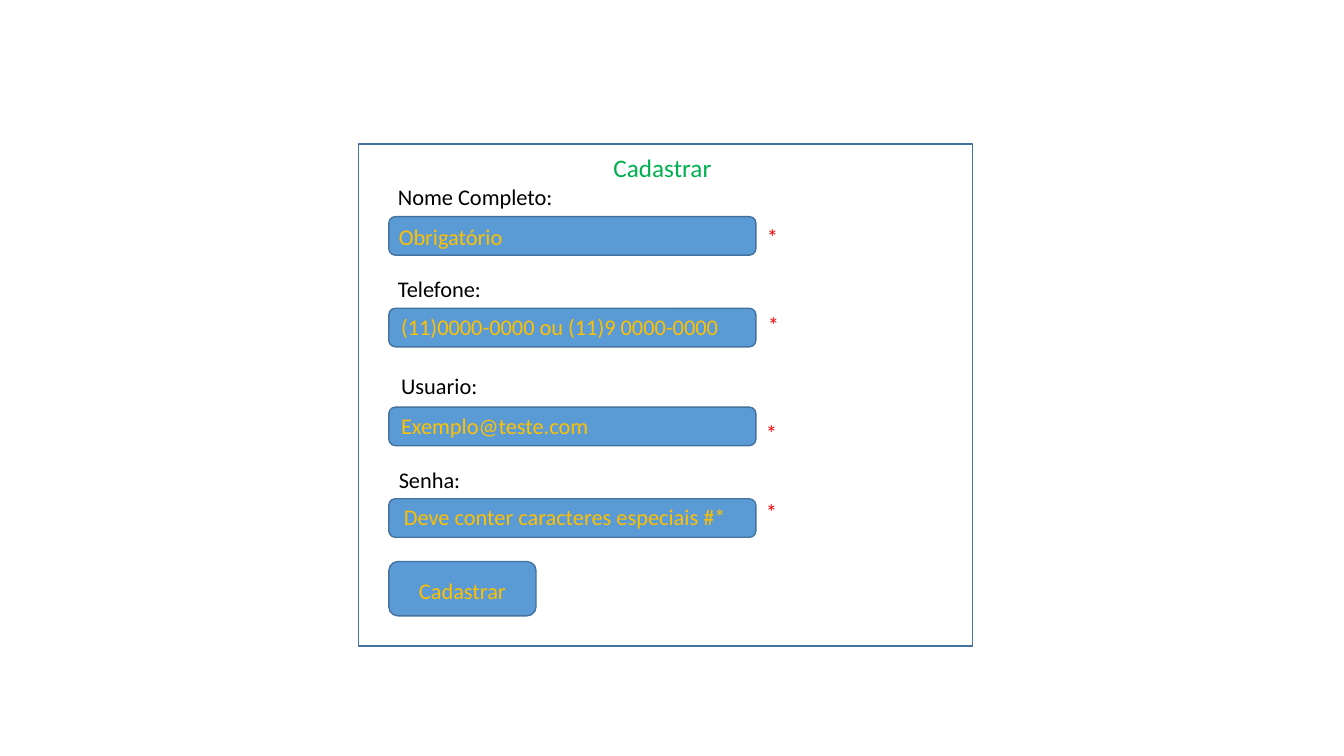
from pptx import Presentation
from pptx.dml.color import RGBColor
from pptx.enum.shapes import MSO_SHAPE
from pptx.enum.text import MSO_AUTO_SIZE
from pptx.util import Cm, Pt

RECTANGLE = MSO_SHAPE.RECTANGLE
ROUNDED = MSO_SHAPE.ROUNDED_RECTANGLE
GROW = MSO_AUTO_SIZE.SHAPE_TO_FIT_TEXT
WHITE, BLUE, OUTLINE = "FFFFFF", "5B9BD5", "43739E"
BLACK, GOLD, GREEN, RED = "000000", "FFC000", "00B050", "FF0000"
FIELD_LEFT = 9.8

deck = Presentation()
deck.slide_width, deck.slide_height = Cm(33.87), Cm(19.05)
page = deck.slides.add_slide(deck.slide_layouts[6])


def add_box(kind, left, top, width, height, fill):
    box = page.shapes.add_shape(kind, Cm(left), Cm(top), Cm(width), Cm(height))
    box.shadow.inherit = False
    box.fill.solid()
    box.fill.fore_color.rgb = RGBColor.from_string(fill)
    box.line.color.rgb = RGBColor.from_string(OUTLINE)
    box.line.width = Pt(1)


def add_text(text, left, top, width, color, size=16, height=0.94):
    box = page.shapes.add_textbox(Cm(left), Cm(top), Cm(width), Cm(height))
    frame = box.text_frame
    frame.word_wrap = True
    frame.auto_size = GROW
    para = frame.paragraphs[0]
    para.text = text
    para.font.name = "Calibri"
    para.font.size = Pt(size)
    para.font.color.rgb = RGBColor.from_string(color)


# Form panel and title
add_box(RECTANGLE, 9.04, 3.63, 15.47, 12.65, WHITE)
add_text("Cadastrar", 15.21, 3.71, 5.11, GREEN, size=18, height=1.02)

# Fields: top of the box, then text, left and top of label, hint (with width) and star
fields = [
    (5.46, ("Nome Completo:", 9.78, 4.5), ("Obrigatório", 9.8, 5.49, 5.69), (19.08, 5.49)),
    (7.77, ("Telefone:", 9.78, 6.81),
     ("(11)0000-0000 ou (11)9 0000-0000", 9.86, 7.77, 8.79), (19.1, 7.72)),
    (10.26, ("Usuario:", 9.86, 9.25), ("Exemplo@teste.com", 9.86, 10.26, 5.69), (19.05, 10.44)),
    (12.57, ("Senha:", 9.8, 11.63),
     ("Deve conter caracteres especiais #*", 9.93, 12.55, 8.69), (19.05, 12.42)),
]
for field_top, label, hint, star in fields:
    add_box(ROUNDED, FIELD_LEFT, field_top, 9.25, 0.97, BLUE)
    add_text(*label, 5.03, BLACK)
    add_text(*hint, GOLD)
    add_text("*", *star, 3.61, RED)

# Submit button
add_box(ROUNDED, FIELD_LEFT, 14.15, 3.71, 1.37, BLUE)
add_text("Cadastrar", 10.31, 14.43, 5.69, GOLD)

deck.save("out.pptx")
